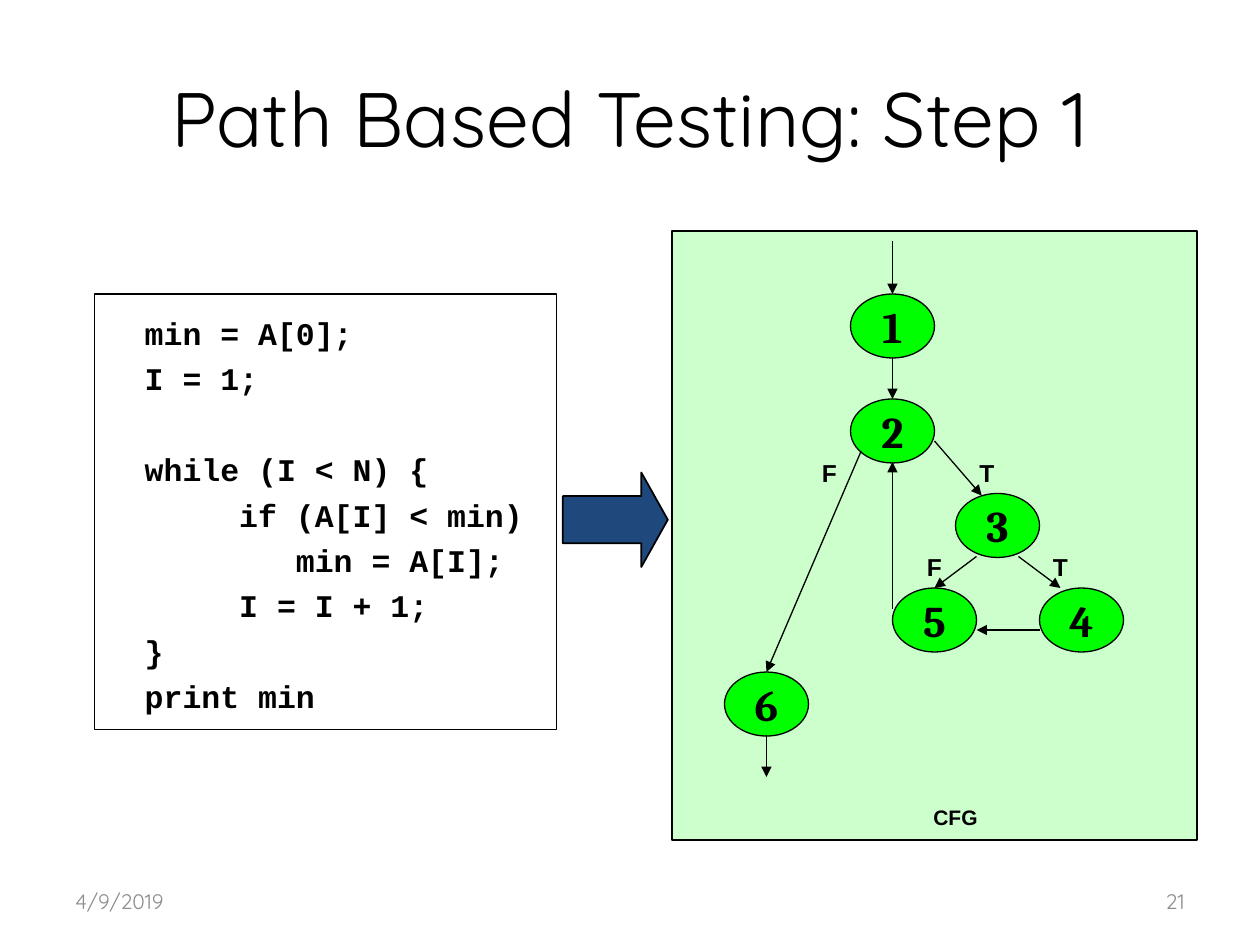
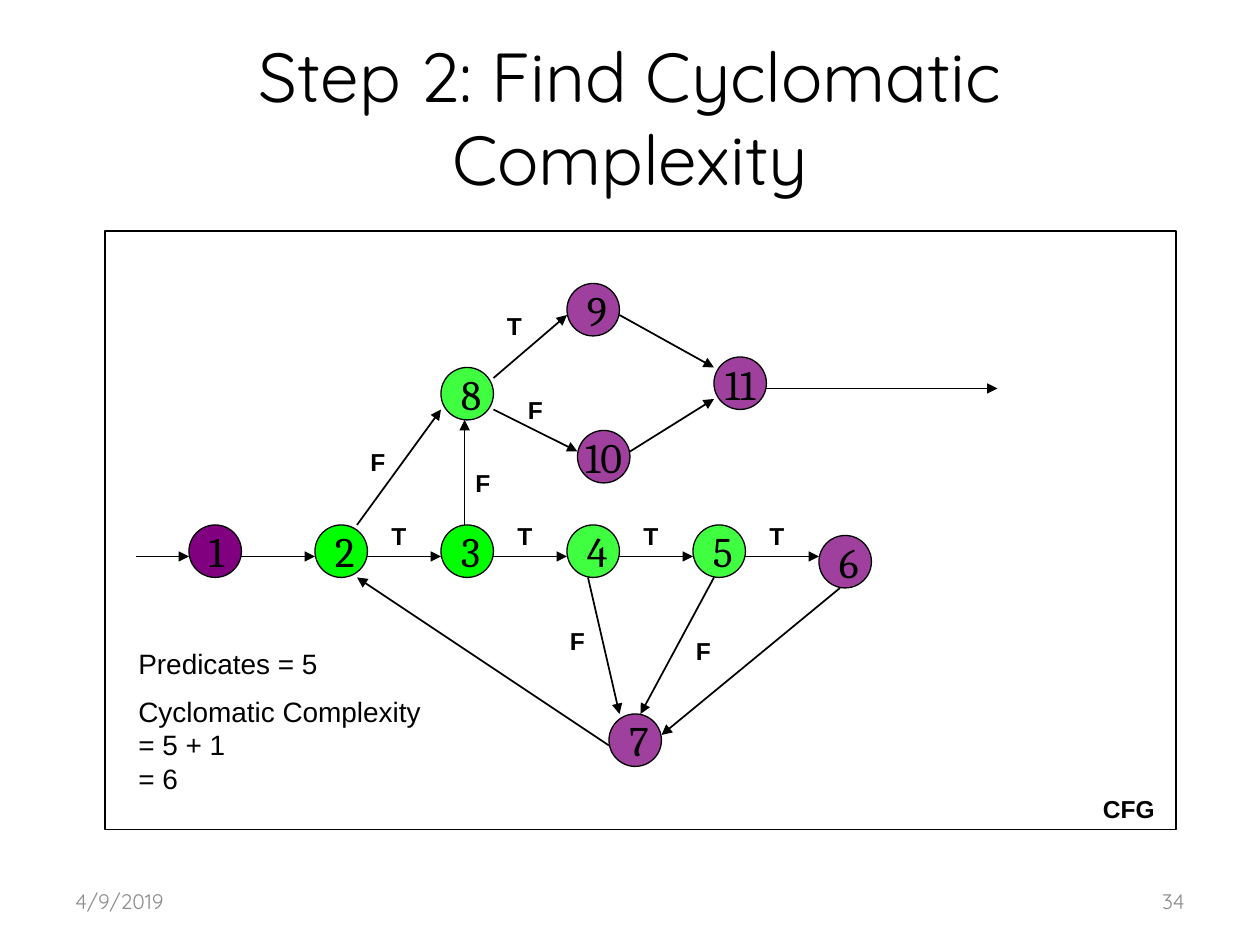
import pptx
import pptx.dml.color
import pptx.enum.shapes
import pptx.enum.text
import pptx.oxml.ns
import pptx.util
from lxml import etree

SHAPE = pptx.enum.shapes.MSO_SHAPE
ALIGN = pptx.enum.text.PP_ALIGN
ANCHOR = pptx.enum.text.MSO_ANCHOR

# Shared look; every length below is in grid cells, 12 to the inch (120 x 90)
CELLS_PER_INCH = 12
BLACK, GREY = "000000", "8C8C8C"
GREEN, PURPLE, PALE_GREEN, NAVY = "00FF00", "800080", "CCFFCC", "1F497D"
HEADING_FONT, LABEL_FONT, NODE_FONT, CODE_FONT = "Quicksand", "Arial", "Cambria", "Courier New"
DATE = "4/9/2019"
TITLE_BOX = (6, 3.6, 108, 15)
DATE_BOX, NUMBER_BOX = (6, 83.4, 28, 4.8), (86, 83.4, 28, 4.8)
LABEL_SIZE = (6, 4)

# Step 1: code and its flow graph
CODE = [
    "  min = A[0];",
    "  I = 1;",
    "",
    "  while (I < N) {",
    "       if (A[I] < min)",
    "          min = A[I];",
    "       I = I + 1;",
    "  }",
    "  print min",
]
CODE_LINE_SPACING, CODE_LINE_POINTS = 1.2, 26
STEP1_NODES = {"1": (81, 28), "2": (81, 38), "3": (91, 47),
               "4": (99, 56), "5": (85, 56), "6": (69, 64)}
STEP1_EDGES = [
    (85, 23, 85, 28), (85, 34, 85, 38), (89, 42, 93.5, 47.2),
    (93, 53, 89, 56), (97, 53, 101, 56), (82, 43, 73, 64),
    (73, 70, 73, 74), (99, 60, 93, 60), (85, 58, 85, 44),
]
STEP1_LABELS = [("T", 91, 43), ("F", 76, 43), ("T", 98, 52), ("F", 86, 52)]

# Step 2: larger flow graph; node: left, top, colour, opacity in percent
STEP2_NODES = {
    "1": (18, 50, PURPLE, 100), "2": (30, 50, GREEN, 100), "3": (42, 50, GREEN, 100),
    "4": (54, 50, GREEN, 75), "5": (66, 50, GREEN, 75), "6": (78, 51, PURPLE, 75),
    "7": (58, 68, PURPLE, 75), "8": (42, 35, GREEN, 75), "9": (54, 27, PURPLE, 75),
    "10": (55, 41, PURPLE, 75), "11": (68, 34, PURPLE, 75),
}
ROW_STARTS = range(23, 72, 12)
STEP2_EDGES = [(left, 53, left + 7, 53) for left in ROW_STARTS] + [
    (13, 53, 18, 53), (80, 56, 63, 70), (68, 55, 61, 68), (56, 55, 59, 68),
    (58, 71, 34, 55), (34, 50, 42, 39), (47, 36, 54, 30), (47, 39, 55, 43),
    (59, 30, 68, 35), (60, 43, 68, 38), (73, 37, 95, 37), (44.25, 50, 44.25, 40),
]
STEP2_LABELS = [("T", left, 49) for left in ROW_STARTS[1:]] + [
    ("T", 46, 29), ("F", 48, 37), ("F", 33, 42), ("F", 52, 59),
    ("F", 64, 60), ("F", 43, 44),
]
RESULT = ["Predicates = 5", "Cyclomatic Complexity\n= 5 + 1\n= 6"]


def cells(*lengths):
    return [pptx.util.Inches(length / CELLS_PER_INCH) for length in lengths]


def color(hex_string):
    return pptx.dml.color.RGBColor.from_string(hex_string)


def write(shape, lines, font, size, bold=False, ink=BLACK, align=ALIGN.LEFT,
          anchor=ANCHOR.TOP, wrap=True, line_spacing=None, gap=0):
    """Fill a shape with paragraphs; an empty line becomes space before the next."""
    frame = shape.text_frame
    frame.word_wrap, frame.vertical_anchor = wrap, anchor
    paragraph, pending = None, 0
    for line in lines:
        if not line:
            pending += CODE_LINE_POINTS
            continue
        if paragraph is None:
            paragraph = frame.paragraphs[0]
        else:
            paragraph = frame.add_paragraph()
            paragraph.space_before = pptx.util.Pt(gap + pending)
        pending = 0
        paragraph.text = line
        paragraph.alignment = align
        if line_spacing:
            paragraph.line_spacing = line_spacing
        paragraph.font.name, paragraph.font.size = font, pptx.util.Pt(size)
        paragraph.font.bold = bold
        paragraph.font.color.rgb = color(ink)


def add_text(slide, box, lines, font, size, **style):
    write(slide.shapes.add_textbox(*cells(*box)), lines, font, size, **style)


def add_shape(slide, kind, box, fill=None, line_width=1, opacity=100):
    shape = slide.shapes.add_shape(kind, *cells(*box))
    shape.shadow.inherit = False
    shape.line.color.rgb = color(BLACK)
    shape.line.width = pptx.util.Pt(line_width)
    if fill is None:
        shape.fill.background()
        return shape
    shape.fill.solid()
    shape.fill.fore_color.rgb = color(fill)
    if opacity < 100:
        fill_color = shape.fill._xPr.find(".//" + pptx.oxml.ns.qn("a:srgbClr"))
        etree.SubElement(fill_color, pptx.oxml.ns.qn("a:alpha"), val=str(opacity * 1000))
    return shape


def add_node(slide, name, box, fill, size, opacity=100, **style):
    node = add_shape(slide, SHAPE.OVAL, box, fill, 0.75, opacity)
    write(node, [name], NODE_FONT, size, anchor=ANCHOR.MIDDLE, wrap=False, **style)


def add_edges(slide, edges, width):
    for edge in edges:
        connector = slide.shapes.add_connector(
            pptx.enum.shapes.MSO_CONNECTOR.STRAIGHT, *cells(*edge))
        connector.line.color.rgb = color(BLACK)
        connector.line.width = pptx.util.Pt(width)
        etree.SubElement(connector.line._get_or_add_ln(),
                         pptx.oxml.ns.qn("a:tailEnd"), type="triangle")
        etree.SubElement(connector._element.spPr, pptx.oxml.ns.qn("a:effectLst"))


def add_label(slide, text, box, size=14):
    add_text(slide, box, [text], LABEL_FONT, size, bold=True, align=ALIGN.CENTER)


def add_branch_labels(slide, labels):
    for text, left, top in labels:
        add_label(slide, text, (left, top, *LABEL_SIZE))


def add_slide(presentation, title, title_size, number):
    slide = presentation.slides.add_slide(presentation.slide_layouts[6])
    footer = dict(ink=GREY, anchor=ANCHOR.MIDDLE)
    add_text(slide, DATE_BOX, [DATE], HEADING_FONT, 12, **footer)
    add_text(slide, NUMBER_BOX, [number], HEADING_FONT, 12, align=ALIGN.RIGHT, **footer)
    add_text(slide, TITLE_BOX, [title], HEADING_FONT, title_size, align=ALIGN.CENTER,
             anchor=ANCHOR.MIDDLE)
    return slide


def build_step1(presentation):
    slide = add_slide(presentation, "Path Based Testing: Step 1", 44, "21")

    # Code box
    code_box = add_shape(slide, SHAPE.RECTANGLE, (9, 28, 44, 41.5), line_width=0.75)
    code_box.text_frame.margin_top = code_box.text_frame.margin_bottom = pptx.util.Inches(0.1)
    write(code_box, CODE, CODE_FONT, 18, bold=True, line_spacing=CODE_LINE_SPACING)

    # Flow graph
    add_shape(slide, SHAPE.RECTANGLE, (64, 22, 50, 58), PALE_GREEN)
    add_label(slide, "CFG", (87, 76, 8, 3.6), 12)
    for name, (left, top) in STEP1_NODES.items():
        add_node(slide, name, (left, top, 8, 6.1), GREEN, 25, bold=True, align=ALIGN.CENTER)
    add_edges(slide, STEP1_EDGES, 0.75)
    add_branch_labels(slide, STEP1_LABELS)

    # Arrow from code to graph
    arrow = add_shape(slide, SHAPE.RIGHT_ARROW, (53.6, 45, 10, 9), NAVY)
    arrow.adjustments[0], arrow.adjustments[1] = 0.5, 0.28


def build_step2(presentation):
    slide = add_slide(presentation, "Step 2: Find Cyclomatic Complexity", 39.6, "34")

    # Flow graph
    for name, (left, top, fill, opacity) in STEP2_NODES.items():
        align = ALIGN.CENTER if len(name) > 1 else ALIGN.LEFT
        add_node(slide, name, (left, top, 5, 5), fill, 24, opacity, align=align)
    add_edges(slide, STEP2_EDGES, 1)
    add_branch_labels(slide, STEP2_LABELS)

    # Frame and result
    add_shape(slide, SHAPE.RECTANGLE, (10, 22, 102, 57))
    add_label(slide, "CFG", (103, 75, 9, 4))
    add_text(slide, (12, 61, 30, 15.6), RESULT, LABEL_FONT, 16, gap=8)


def main():
    presentation = pptx.Presentation()
    presentation.slide_width, presentation.slide_height = cells(120, 90)
    build_step1(presentation)
    build_step2(presentation)
    presentation.save("out.pptx")


if __name__ == "__main__":
    main()
